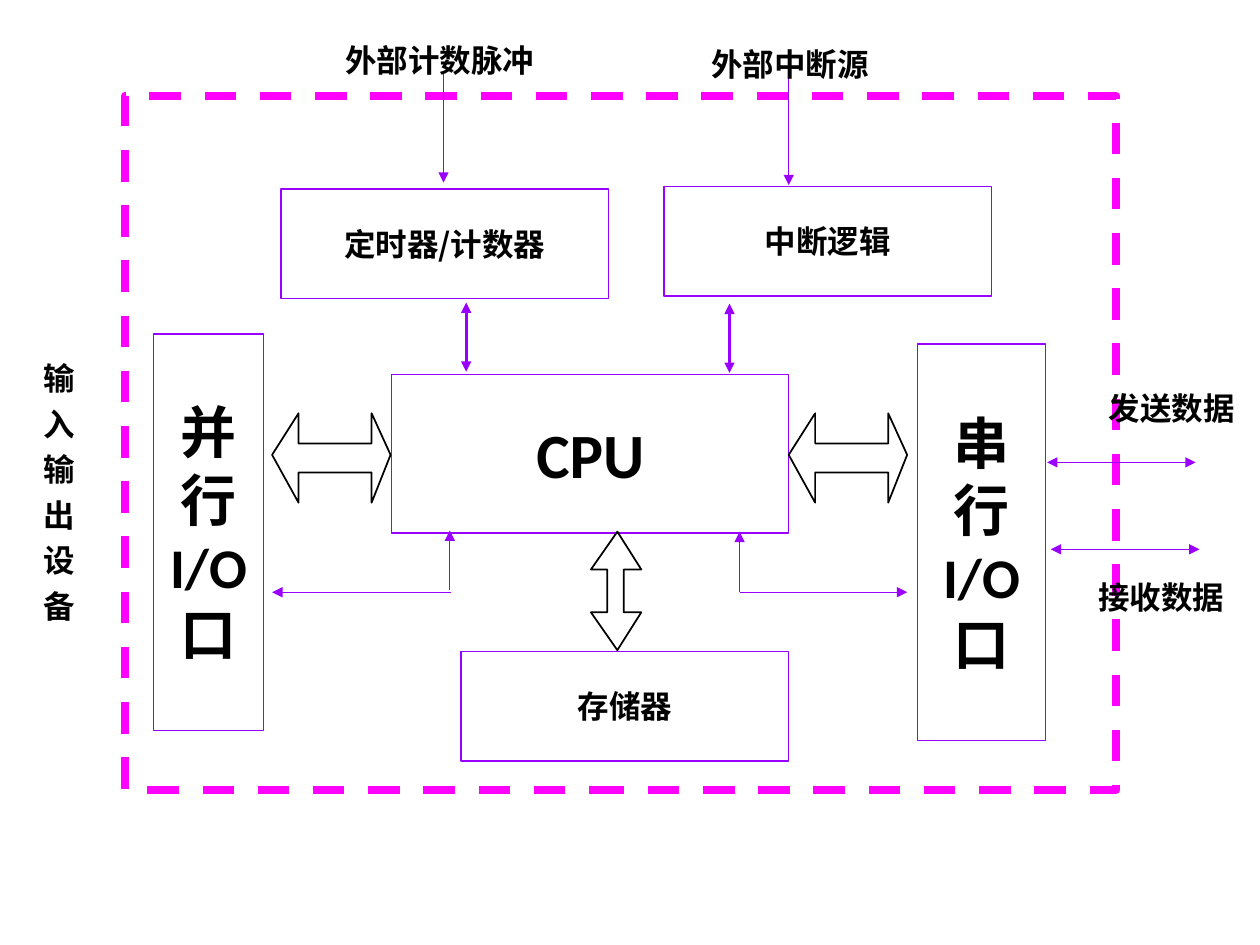
from lxml.etree import SubElement
from pptx import Presentation
from pptx.dml.color import RGBColor
from pptx.enum.dml import MSO_LINE
from pptx.enum.shapes import MSO_CONNECTOR, MSO_SHAPE
from pptx.enum.text import MSO_ANCHOR, MSO_AUTO_SIZE, PP_ALIGN
from pptx.oxml.ns import qn
from pptx.util import Inches, Pt

COLORS = {"violet": "9900FF", "magenta": "FF00FF", "black": "000000"}
CJK_FONT = "Noto Sans CJK SC"


def write_text(shape, text, size, font_name, align=PP_ALIGN.CENTER):
    """Fill a shape with bold black text, one paragraph per line."""
    text_frame = shape.text_frame
    text_frame.text = text
    for paragraph in text_frame.paragraphs:
        paragraph.alignment = align
        for run in paragraph.runs:
            run.font.name = font_name
            run.font.size = Pt(size)
            run.font.bold = True
            run.font.color.rgb = RGBColor.from_string(COLORS["black"])
            SubElement(run.font._element, qn("a:ea")).set("typeface", CJK_FONT)


def outline(shape, color, width):
    shape.shadow.inherit = False
    shape.fill.background()
    shape.line.color.rgb = RGBColor.from_string(COLORS[color])
    shape.line.width = Pt(width)


presentation = Presentation()
presentation.slide_width = Inches(10)
presentation.slide_height = Inches(7.5)
slide = presentation.slides.add_slide(presentation.slide_layouts[6])
shapes = slide.shapes

# Dashed boundary of the chip
frame = shapes.add_shape(
    MSO_SHAPE.RECTANGLE, Inches(0.99), Inches(0.76), Inches(7.87), Inches(5.51)
)
outline(frame, "magenta", 4.5)
frame.line.dash_style = MSO_LINE.DASH

# Functional blocks: text, left, top, width, height, size, font
blocks = [
    ("CPU", 3.11, 2.97, 3.15, 1.26, 36, "Calibri"),
    ("存储器", 3.66, 5.17, 2.6, 0.87, 18, CJK_FONT),
    ("并\n行\nI/O\n口", 1.22, 2.65, 0.87, 3.15, 32, "Calibri"),
    ("串\n行\nI/O\n口", 7.28, 2.73, 1.02, 3.15, 32, "Calibri"),
    ("定时器/计数器", 2.23, 1.5, 2.6, 0.87, 18, CJK_FONT),
    ("中断逻辑", 5.27, 1.48, 2.6, 0.87, 18, CJK_FONT),
]
for text, left, top, width, height, size, font_name in blocks:
    block = shapes.add_shape(
        MSO_SHAPE.RECTANGLE, Inches(left), Inches(top), Inches(width), Inches(height)
    )
    outline(block, "violet", 0.75)
    block.text_frame.word_wrap = False
    block.text_frame.vertical_anchor = MSO_ANCHOR.MIDDLE
    write_text(block, text, size, font_name)

# Wide bus arrows between the CPU and its neighbours
side_arrow = [
    (0, 0.33), (0.21, 0), (0.21, 0.24), (0.79, 0.24), (0.79, 0), (0.94, 0.33),
    (0.79, 0.71), (0.79, 0.47), (0.21, 0.47), (0.21, 0.71),
]
upright_arrow = [
    (0.21, 0.94), (0, 0.64), (0.13, 0.64), (0.13, 0.3), (0, 0.3), (0.21, 0),
    (0.4, 0.3), (0.26, 0.3), (0.26, 0.64), (0.4, 0.64),
]
buses = [(2.16, 3.28, side_arrow), (6.26, 3.28, side_arrow), (4.69, 4.22, upright_arrow)]
for left, top, offsets in buses:
    points = [(Inches(left + x), Inches(top + y)) for x, y in offsets]
    builder = shapes.build_freeform(*points[0])
    builder.add_line_segments(points[1:], close=True)
    outline(builder.convert_to_shape(), "black", 1)

# Signal lines: start x, start y, end x, end y, width, arrowheads
both_ends = ("headEnd", "tailEnd")
end_only = ("tailEnd",)
signals = [
    (9.49, 3.67, 8.31, 3.67, 0.75, both_ends),
    (9.52, 4.36, 8.34, 4.36, 0.75, both_ends),
    (5.79, 2.41, 5.79, 2.96, 1.5, both_ends),
    (3.7, 2.4, 3.7, 2.95, 1.5, both_ends),
    (6.26, 0.6, 6.26, 1.47, 0.75, end_only),
    (3.52, 0.59, 3.52, 1.45, 0.75, end_only),
    (5.87, 4.7, 5.87, 4.22, 0.75, end_only),
    (5.87, 4.7, 7.2, 4.7, 0.75, end_only),
    (3.57, 4.68, 3.57, 4.21, 0.75, end_only),
    (3.58, 4.7, 2.16, 4.7, 0.75, end_only),
]
for start_x, start_y, end_x, end_y, width, arrowheads in signals:
    signal = shapes.add_connector(
        MSO_CONNECTOR.STRAIGHT,
        Inches(start_x), Inches(start_y), Inches(end_x), Inches(end_y),
    )
    signal.line.color.rgb = RGBColor.from_string(COLORS["violet"])
    signal.line.width = Pt(width)
    properties = signal._element.spPr
    for arrowhead in arrowheads:
        SubElement(properties.find(qn("a:ln")), qn(f"a:{arrowhead}")).set("type", "triangle")
    SubElement(properties, qn("a:effectLst"))

# Single-line labels that grow with their text
labels = [
    ("发送数据", 8.7, 3.04, 1.2),
    ("接收数据", 8.62, 4.54, 1.2),
    ("外部计数脉冲", 2.64, 0.28, 1.7),
]
for text, left, top, width in labels:
    label = shapes.add_textbox(Inches(left), Inches(top), Inches(width), Inches(0.4))
    label.text_frame.word_wrap = False
    label.text_frame.auto_size = MSO_AUTO_SIZE.SHAPE_TO_FIT_TEXT
    write_text(label, text, 18, "Calibri", PP_ALIGN.LEFT)

# Centred labels without insets
interrupt_label = shapes.add_textbox(Inches(5.47), Inches(0.36), Inches(1.6), Inches(0.57))
write_text(interrupt_label, "外部中断源", 18, "Calibri")
device_label = shapes.add_textbox(Inches(0.14), Inches(2.97), Inches(0.66), Inches(2.85))
write_text(device_label, "\n".join("输入输出设备"), 18, "Arial")
for label in (interrupt_label, device_label):
    text_frame = label.text_frame
    text_frame.word_wrap = True
    text_frame.margin_left = text_frame.margin_right = 0
    text_frame.margin_top = text_frame.margin_bottom = 0
for paragraph in device_label.text_frame.paragraphs:
    paragraph.line_spacing = Pt(13)
    paragraph.space_after = Pt(13)

presentation.save("out.pptx")
